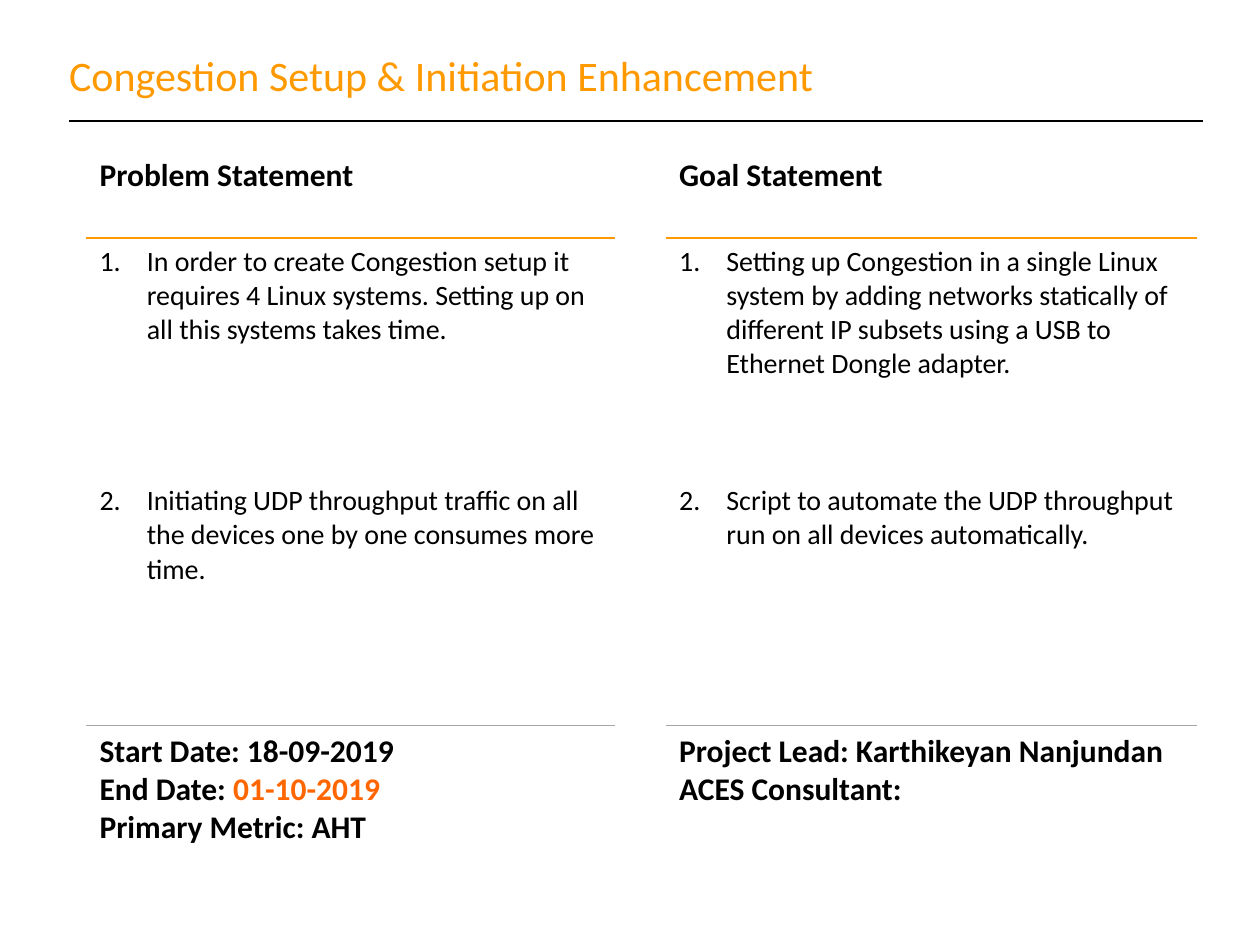
from lxml import etree
from pptx import Presentation
from pptx.dml.color import RGBColor
from pptx.enum import shapes, text
from pptx.oxml import ns
from pptx.util import Inches, Pt

BLACK, ORANGE, DEEP_ORANGE, GRAY = "000000", "FF9900", "FF6600", "A6A6A6"
TITLE = "Congestion Setup & Initiation Enhancement"
HEADING = {"size": Pt(18), "bold": True}
BODY = {"size": Pt(16), "bold": False}
BODY_LINE = 19.53

COLUMNS = [
    {
        "heading": "Problem Statement",
        "items": [
            ("In order to create Congestion setup it requires 4 Linux systems. "
             "Setting up on all this systems takes time.", 0),
            ("Initiating UDP throughput traffic on all the devices one by one "
             "consumes more time.", 4),
        ],
        "details": [
            [("Start Date: 18-09-2019", BLACK)],
            [("End Date: ", BLACK), ("01-10-2019", DEEP_ORANGE)],
            [("Primary Metric: AHT", BLACK)],
        ],
    },
    {
        "heading": "Goal Statement",
        "items": [
            ("Setting up Congestion in a single Linux system by adding networks "
             "statically of different IP subsets using a USB to Ethernet Dongle "
             "adapter.", 0),
            ("Script to automate the UDP throughput run on all devices "
             "automatically.", 3),
        ],
        "details": [
            [("Project Lead: Karthikeyan Nanjundan", BLACK)],
            [("ACES Consultant:", BLACK)],
        ],
    },
]
COLUMN_WIDTHS = [4.2, 0.4, 4.2]
ROW_HEIGHTS = [0.7, 3.87, 2.1]
RULES = [(ORANGE, 1), (GRAY, 0.5)]


def color(value):
    return RGBColor.from_string(value)


def add_span(para, words, value, formats):
    span = para.add_run()
    span.text = words
    span.font.color.rgb = color(value)
    for name, setting in {"name": "Calibri", **formats}.items():
        setattr(span.font, name, setting)


def paragraphs(frame, count):
    return [frame.paragraphs[0]] + [frame.add_paragraph() for _ in range(count - 1)]


def number(para):
    properties = para._p.get_or_add_pPr()
    properties.set("marL", str(Inches(0.375)))
    properties.set("indent", str(-Inches(0.375)))
    etree.SubElement(properties, ns.qn("a:buFont"), typeface="+mj-lt")
    etree.SubElement(properties, ns.qn("a:buAutoNum"), type="arabicPeriod")


def add_border(cell, side, value, width):
    line = etree.Element(ns.qn(f"a:{side}"), w=str(Pt(width)))
    fill = etree.SubElement(line, ns.qn("a:solidFill"))
    etree.SubElement(fill, ns.qn("a:srgbClr"), val=value)
    properties = cell._tc.get_or_add_tcPr()
    borders = [child for child in properties if child.tag.endswith(("lnT", "lnB"))]
    properties.insert(len(borders), line)


def add_title(page):
    box = page.shapes.add_textbox(Inches(0.45), Inches(0.34), Inches(8.03), Inches(0.5))
    box.text_frame.word_wrap = True
    add_span(box.text_frame.paragraphs[0], TITLE, ORANGE, {"size": Pt(24)})
    rule = page.shapes.add_connector(
        shapes.MSO_CONNECTOR.STRAIGHT, Inches(0.55), Inches(0.96), Inches(9.55), Inches(0.96))
    rule.line.color.rgb = color(BLACK)
    rule.line.width = Pt(1.5)
    etree.SubElement(rule._element.spPr, ns.qn("a:effectLst"))


def add_statements(page):
    table = page.shapes.add_table(
        len(ROW_HEIGHTS), len(COLUMN_WIDTHS), Inches(0.69), Inches(1.19),
        Inches(sum(COLUMN_WIDTHS)), Inches(sum(ROW_HEIGHTS))).table
    table.first_row = table.horz_banding = False
    for column, width in zip(table.columns, COLUMN_WIDTHS):
        column.width = Inches(width)
    for row, height in zip(table.rows, ROW_HEIGHTS):
        row.height = Inches(height)
    for cell in table.iter_cells():
        cell.fill.background()
        cell.vertical_anchor = text.MSO_ANCHOR.TOP

    for index, content in zip((0, 2), COLUMNS):
        heading, items, details = [table.cell(row, index) for row in range(3)]
        add_span(heading.text_frame.paragraphs[0], content["heading"], BLACK, HEADING)
        paras = paragraphs(items.text_frame, len(content["items"]))
        for para, (words, gap_lines) in zip(paras, content["items"]):
            number(para)
            if gap_lines:
                para.space_before = Pt(gap_lines * BODY_LINE)
            add_span(para, words, BLACK, BODY)
        paras = paragraphs(details.text_frame, len(content["details"]))
        for para, spans in zip(paras, content["details"]):
            for words, value in spans:
                add_span(para, words, value, HEADING)
        for row, rule in enumerate(RULES):
            add_border(table.cell(row, index), "lnB", *rule)
            add_border(table.cell(row + 1, index), "lnT", *rule)


def main():
    deck = Presentation()
    deck.slide_width, deck.slide_height = Inches(10), Inches(7.5)
    page = deck.slides.add_slide(deck.slide_layouts[6])
    add_title(page)
    add_statements(page)
    deck.save("out.pptx")


if __name__ == "__main__":
    main()
